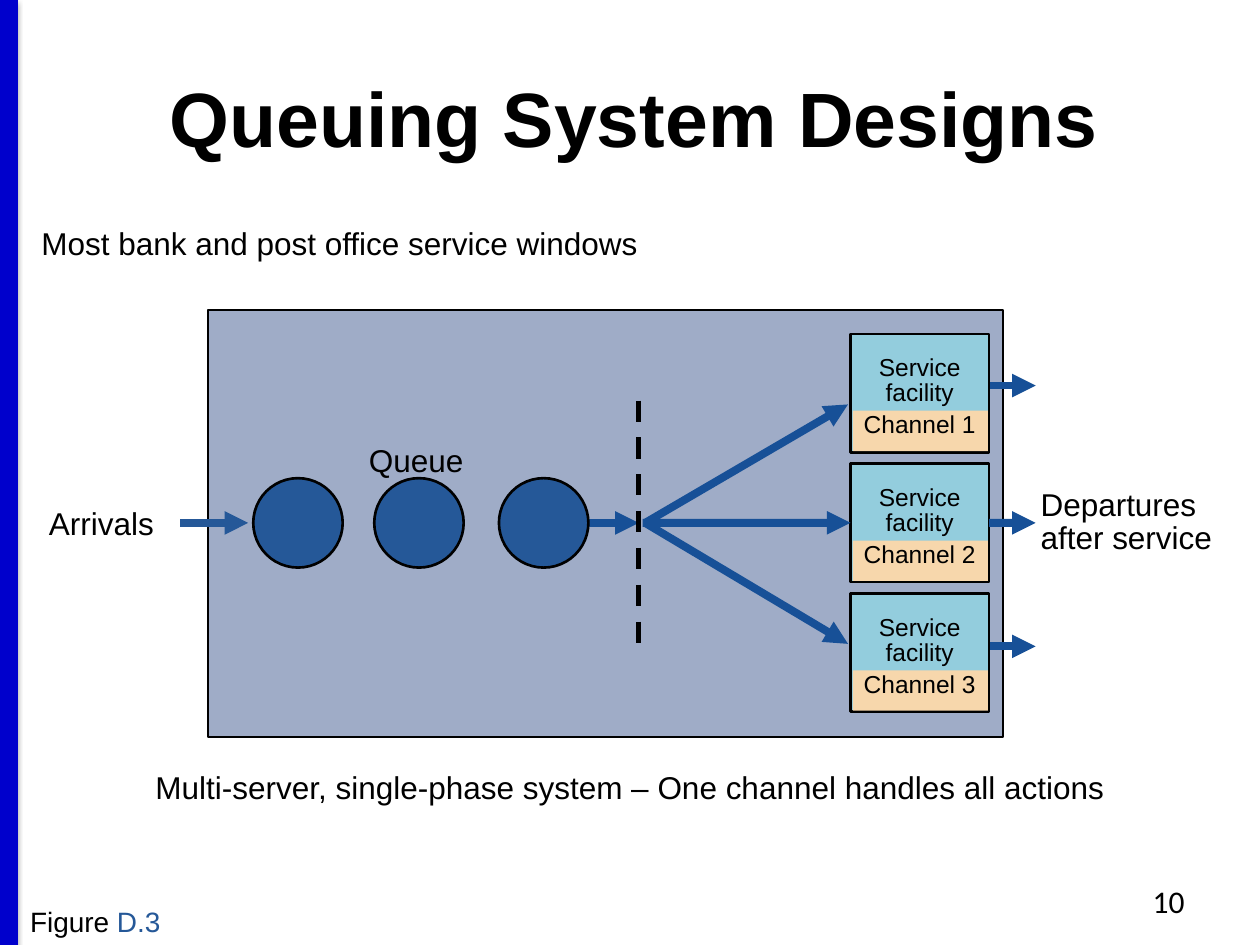
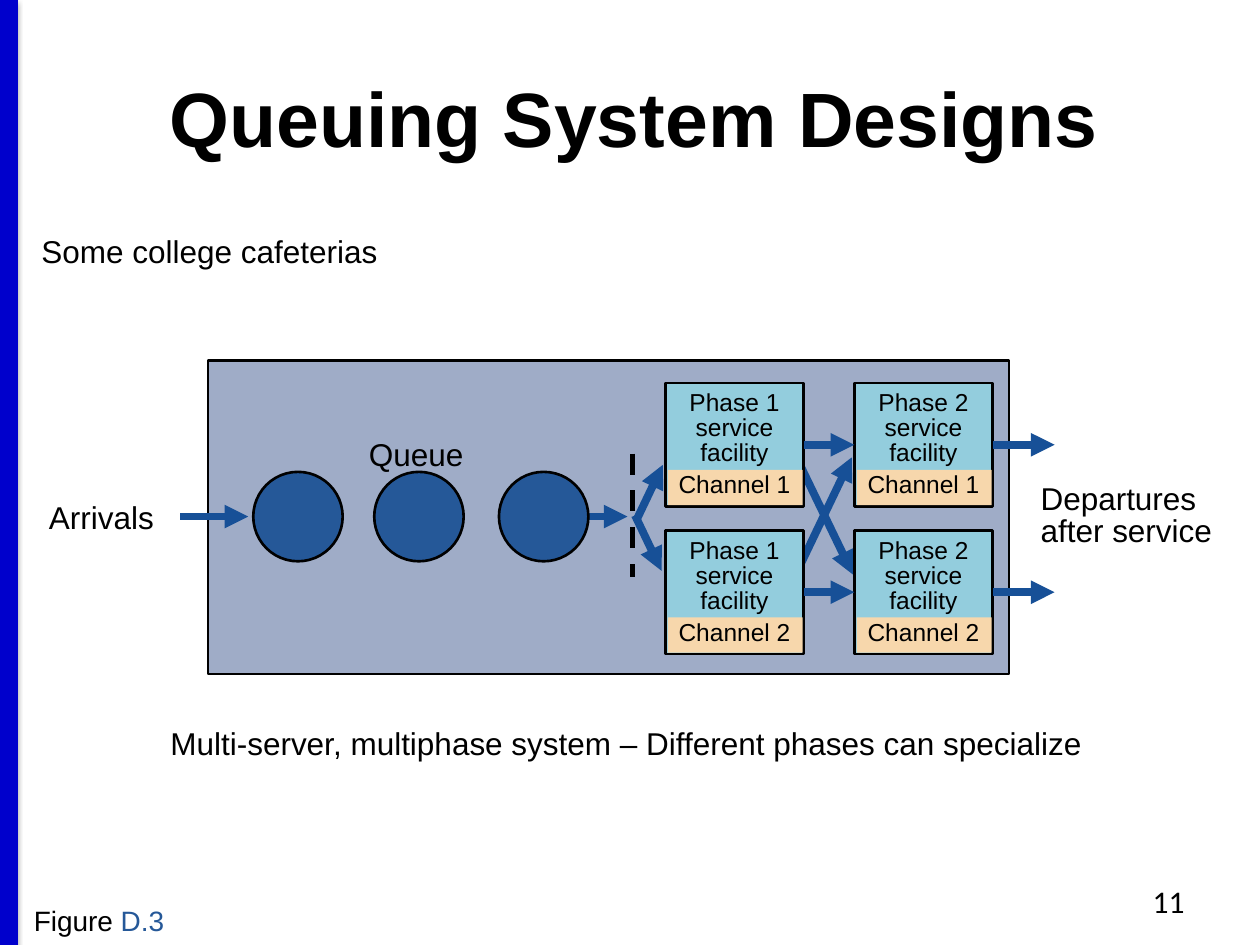
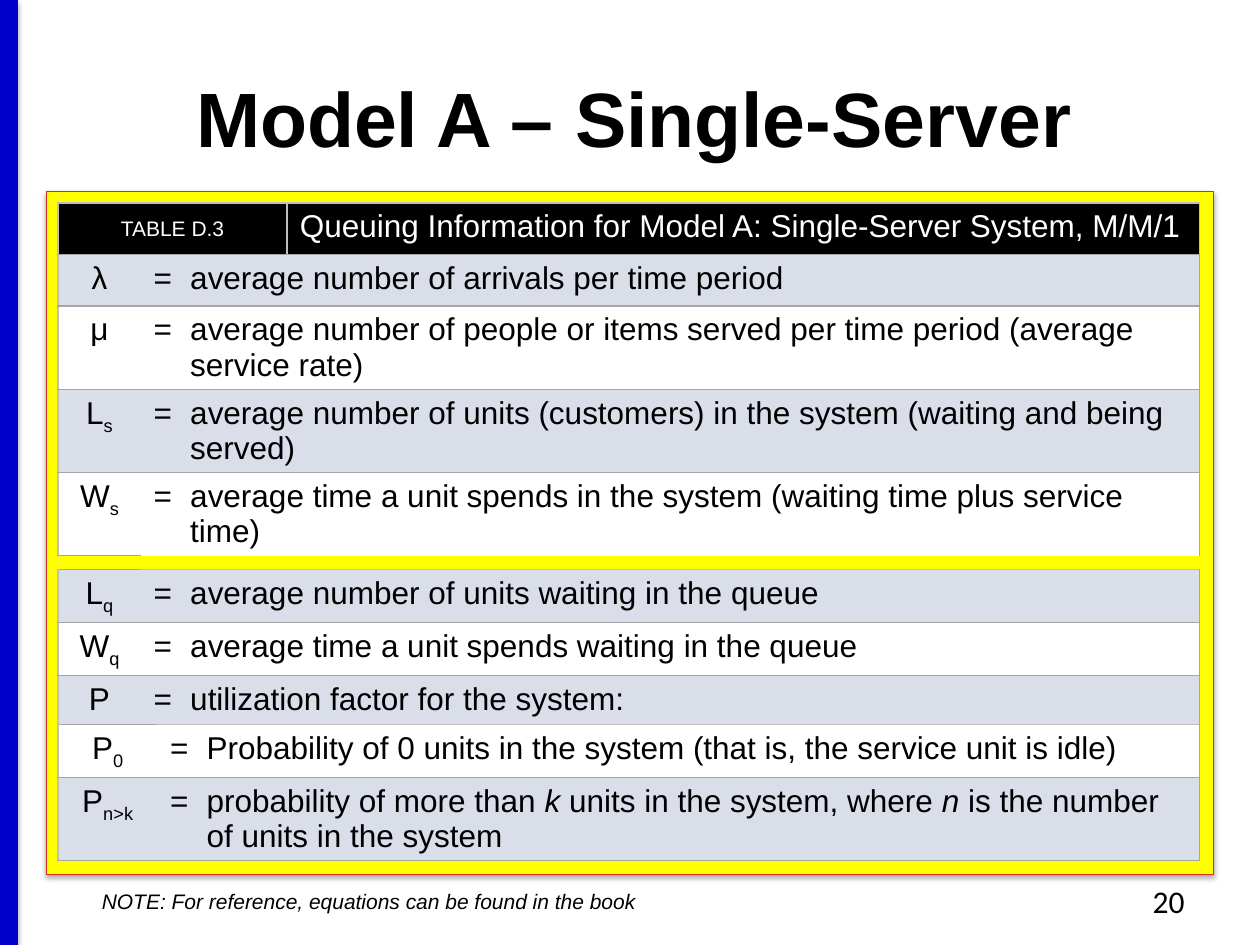
from pptx import Presentation
from pptx.dml.color import RGBColor
from pptx.enum.dml import MSO_LINE
from pptx.enum.shapes import MSO_CONNECTOR, MSO_SHAPE
from pptx.enum.text import MSO_ANCHOR, MSO_AUTO_SIZE, PP_ALIGN
from pptx.oxml.ns import qn
from pptx.util import Inches, Pt
from lxml.etree import SubElement

COLORS = {
    "black": "000000", "white": "FFFFFF", "band": "0000CC",
    "system": "9FACC7", "customer": "255898", "flow": "175097",
    "server": "93CDDD", "channel": "F7D7AC",
    "panel": "FFFF00", "panel_edge": "D32E1B",
    "stripe": "D9DEE9", "rule": "A6A6A6", "rule_light": "BFBFBF",
}
TOP, LEFT, BOTTOM, RIGHT = range(4)  # connection sites of a rectangle
SERVER_WIDTH = 1.1
CUSTOMER_SIZE = 0.71
EQUALS_INDENT = 0.29


def rgb(name):
    return RGBColor.from_string(COLORS[name])


def lengths(*values):
    return [Inches(value) for value in values]


# ---- Basic elements ----

def set_shadow(shape, alpha=0, blur=0, distance=0):
    """Replace the theme shadow: none, or a soft one straight below."""
    effects = SubElement(shape._element.spPr, qn("a:effectLst"))
    if alpha:
        outer = SubElement(effects, qn("a:outerShdw"), blurRad=str(Pt(blur)),
                           dist=str(Pt(distance)), dir="5400000", rotWithShape="0")
        color = SubElement(outer, qn("a:srgbClr"), val=COLORS["black"])
        SubElement(color, qn("a:alpha"), val=str(alpha * 1000))


def add_line(slide, start, end, color="flow", width=4.5, arrow=True,
             dash=None, shadow=()):
    line = slide.shapes.add_connector(MSO_CONNECTOR.STRAIGHT, *lengths(*start, *end))
    line.line.color.rgb = rgb(color)
    line.line.width = Pt(width)
    if dash:
        line.line.dash_style = dash
    if arrow:
        SubElement(line.line._get_or_add_ln(), qn("a:tailEnd"), type="triangle")
    set_shadow(line, *shadow)
    return line


def add_block(slide, at, fill, edge=None, width=1.5, kind=MSO_SHAPE.RECTANGLE,
              shadow=()):
    block = slide.shapes.add_shape(kind, *lengths(*at))
    block.fill.solid()
    block.fill.fore_color.rgb = rgb(fill)
    if edge:
        block.line.color.rgb = rgb(edge)
        block.line.width = Pt(width)
    else:
        block.line.fill.background()
    set_shadow(block, *shadow)
    return block


def style_paragraph(paragraph, size=18, color="black", font="Arial", bold=False,
                    italic=False, align=PP_ALIGN.LEFT, line_spacing=None):
    paragraph.alignment = align
    if line_spacing:
        paragraph.line_spacing = line_spacing
    paragraph.font.size = Pt(size)
    paragraph.font.name = font
    paragraph.font.bold = bold
    paragraph.font.italic = italic
    paragraph.font.color.rgb = rgb(color)


def add_text(slide, at, text, wrap=False, grow=True, anchor=MSO_ANCHOR.TOP, **style):
    frame = slide.shapes.add_textbox(*lengths(*at)).text_frame
    frame.word_wrap = wrap
    frame.auto_size = MSO_AUTO_SIZE.SHAPE_TO_FIT_TEXT if grow else MSO_AUTO_SIZE.NONE
    frame.vertical_anchor = anchor
    frame.text = text
    for paragraph in frame.paragraphs:
        style_paragraph(paragraph, **style)
    return frame


# ---- Shared slide frame ----

def new_slide(deck, title, number):
    slide = deck.slides.add_slide(deck.slide_layouts[6])
    add_line(slide, (0.07, 0), (0.07, 7.5), "band", 10, arrow=False,
             shadow=(38, 3.1, 1.6))
    add_text(slide, (0.07, 0.3, 9.93, 1.25), title, wrap=True, grow=False,
             anchor=MSO_ANCHOR.MIDDLE, size=44, bold=True, align=PP_ALIGN.CENTER)
    add_text(slide, (7.17, 6.95, 2.33, 0.4), str(number), wrap=True, grow=False,
             font="Calibri", align=PP_ALIGN.RIGHT)
    return slide


# ---- Queuing diagrams ----

def add_figure_label(slide, left, top):
    label = add_text(slide, (left, top, 1.29, 0.37), "Figure ", size=16).paragraphs[0]
    number = label.add_run()
    number.text = "D.3"
    number.font.color.rgb = rgb("customer")


def add_queue(slide, center, exit_x, arrivals_color):
    """Arrivals, three waiting customers and the arrow out of the queue."""
    top = center - CUSTOMER_SIZE / 2
    add_text(slide, (0.29, center - 0.2, 1.06, 0.4), "Arrivals")
    add_line(slide, (1.43, center), (1.97, center), arrivals_color)
    add_line(slide, (exit_x - 0.54, center), (exit_x, center))
    for left in (2.01, 2.97, 3.96):
        add_block(slide, (left, top, CUSTOMER_SIZE, CUSTOMER_SIZE), "customer",
                  "black", kind=MSO_SHAPE.OVAL)
    add_text(slide, (2.83, top - 0.34, 0.98, 0.4), "Queue")


def add_diagram(deck, number, example, example_top, system, caption, caption_at,
                figure_at, center, exit_x, arrivals_color, divider):
    slide = new_slide(deck, "Queuing System Designs", number)
    add_block(slide, system, "system", "black")
    add_figure_label(slide, *figure_at)
    add_text(slide, caption_at, caption, align=PP_ALIGN.CENTER)
    add_text(slide, (0.23, example_top, 4.98, 0.4), example)
    add_queue(slide, center, exit_x, arrivals_color)
    divider_x, divider_top, divider_bottom = divider
    add_line(slide, (divider_x, divider_top), (divider_x, divider_bottom), "black", 3,
             arrow=False, dash=MSO_LINE.DASH)
    add_text(slide, (8.16, center - 0.3, 1.58, 0.62), "Departures\nafter service",
             line_spacing=0.85)
    return slide


def add_server(slide, left, top, height, strip, text_offset, task, channel):
    server = add_block(slide, (left, top, SERVER_WIDTH, height), "server", "black")
    add_block(slide, (left + 0.02, top + height - strip - 0.01, SERVER_WIDTH - 0.03, strip),
              "channel")
    frame = add_text(slide, (left - 0.03, top + text_offset, 1.16, 0.78),
                     f"{task}\nChannel {channel}", wrap=True, size=14,
                     align=PP_ALIGN.CENTER, line_spacing=0.85)
    frame.paragraphs[0].space_after = Pt(4)
    return server


def build_single_phase(deck):
    center = 4.15
    slide = add_diagram(
        deck, 10, "Most bank and post office service windows", 1.73,
        (1.65, 2.46, 6.31, 3.39),
        "Multi-server, single-phase system – One channel handles all actions",
        (1.1, 6.05, 7.8, 0.4), (0.14, 7.13), center, 5.07, "customer",
        (5.07, 3.18, 5.12))
    # Outer channels: arrows in from the queue and out to departures
    for entry_y, exit_y in ((3.21, 3.06), (5.11, 5.13)):
        add_line(slide, (5.12, center), (6.73, entry_y))
        add_line(slide, (7.68, exit_y), (8.22, exit_y))
    servers = [add_server(slide, 6.75, 2.65 + 1.03 * row, 0.94, 0.32, 0.13,
                          "Service facility", row + 1) for row in range(3)]
    # Middle channel: straight through
    add_line(slide, (5.1, center), (6.75, center)).end_connect(servers[1], LEFT)
    add_line(slide, (7.85, center), (8.22, center)).begin_connect(servers[1], RIGHT)


def build_multiphase(deck):
    center = 4.1
    height, lefts, tops = 0.98, (5.28, 6.78), (3.04, 4.21)
    slide = add_diagram(
        deck, 11, "Some college cafeterias", 1.79, (1.65, 2.86, 6.36, 2.49),
        "Multi-server, multiphase system – Different phases can specialize",
        (1.22, 5.7, 7.5, 0.4), (0.17, 7.12), center, 4.98, "flow",
        (5.02, 3.6, 4.58))
    # Slanted arrows: into phase 1 and across to the other channel
    for start, end in (((5.06, 4.11), (5.26, 3.69)), ((5.04, 4.09), (5.25, 4.53)),
                       ((6.32, 4.55), (6.76, 3.63)), ((6.34, 3.67), (6.77, 4.56))):
        add_line(slide, start, end)
    for channel, top in enumerate(tops, 1):
        first, second = [
            add_server(slide, left, top, height, 0.28, 0.02,
                       f"Phase {phase} service facility", channel)
            for phase, left in enumerate(lefts, 1)]
        middle = top + height / 2
        handover = add_line(slide, (lefts[0] + SERVER_WIDTH, middle), (lefts[1], middle))
        handover.begin_connect(first, RIGHT)
        handover.end_connect(second, LEFT)
        departure = add_line(slide, (lefts[1] + SERVER_WIDTH, middle), (8.37, middle))
        departure.begin_connect(second, RIGHT)


# ---- Notation tables ----

def style_cell(cell, fill, borders):
    """borders maps a side letter (L, R, T, B) to a colour; other sides are bare."""
    properties = cell._tc.get_or_add_tcPr()
    for side in "LRTB":
        border = SubElement(properties, qn(f"a:ln{side}"), w=str(Pt(1)))
        if side in borders:
            solid = SubElement(border, qn("a:solidFill"))
            SubElement(solid, qn("a:srgbClr"), val=COLORS[borders[side]])
        else:
            SubElement(border, qn("a:noFill"))
    cell.fill.solid()
    cell.fill.fore_color.rgb = rgb(fill)


def write_symbol(cell, symbol, subscript):
    paragraph = cell.text_frame.paragraphs[0]
    style_paragraph(paragraph, align=PP_ALIGN.CENTER)
    paragraph.add_run().text = symbol
    if subscript:
        index = paragraph.add_run()
        index.text = subscript
        index._r.get_or_add_rPr().set("baseline", "-25000")


def write_definition(cell, definition):
    """Words between asterisks are italic."""
    paragraph = cell.text_frame.paragraphs[0]
    properties = paragraph._p.get_or_add_pPr()
    properties.set("marL", str(Inches(EQUALS_INDENT)))
    properties.set("indent", str(-Inches(EQUALS_INDENT)))
    style_paragraph(paragraph)
    for position, part in enumerate(f"=\t{definition}".split("*")):
        run = paragraph.add_run()
        run.text = part
        if position % 2:
            run.font.italic = True


def write_header(table, label, heading):
    for cell in table.rows[0].cells:
        style_cell(cell, "black", dict.fromkeys("LRTB", "rule_light"))
    table.cell(0, 0).merge(table.cell(0, 1))
    table.cell(0, 0).vertical_anchor = MSO_ANCHOR.MIDDLE
    for column, text, size, align in ((0, label, 12, PP_ALIGN.CENTER),
                                      (2, heading, 18, PP_ALIGN.LEFT)):
        cell = table.cell(0, column)
        cell.text = text
        style_paragraph(cell.text_frame.paragraphs[0], size, "white", align=align)


def add_notation(slide, top, widths, rows, fills, header=None, closed=True):
    first = 1 if header else 0
    count = len(rows) + first
    table = slide.shapes.add_table(
        count, len(widths), *lengths(0.46, top, sum(widths), 0.41 * count)).table
    table.first_row = table.horz_banding = False
    for column, width in zip(table.columns, widths):
        column.width = Inches(width)
    for row in table.rows:
        row.height = Inches(0.41)
    if header:
        write_header(table, *header)
    last = len(widths) - 1
    for number, (symbol, subscript, definition) in enumerate(rows, first):
        fill = fills[(number - first) % 2]
        symbol_cell, *definition_cells = table.rows[number].cells
        style_cell(symbol_cell, fill, {"L": "rule_light", "T": "rule", "B": "rule"})
        borders = {"T": "rule", "R": "rule", "B": "rule"}
        if number == count - 1 and not closed:
            del borders["B"]
        if number == 0:
            borders["T"] = "rule_light"
        for cell in definition_cells:
            style_cell(cell, fill, borders)
        if last > 1:
            table.cell(number, 1).merge(table.cell(number, last))
        write_symbol(symbol_cell, symbol, subscript)
        write_definition(table.cell(number, 1), definition)


def build_model_a(deck):
    slide = new_slide(deck, "Model A – Single-Server", 20)
    add_block(slide, (0.37, 1.52, 9.26, 5.42), "panel", "panel_edge", 0.75,
              shadow=(35, 3.1, 1.8))
    add_notation(slide, 1.61, (0.66, 1.16, 7.24), [
        ("λ", "", "average number of arrivals per time period"),
        ("μ", "", "average number of people or items served per time period "
                  "(average service rate)"),
        ("L", "s", "average number of units (customers) in the system "
                   "(waiting and being served)"),
        ("W", "s", "average time a unit spends in the system "
                   "(waiting time plus service time)"),
    ], ("stripe", "white"), closed=False,
        header=("TABLE D.3", "Queuing Information for Model A: Single-Server System, M/M/1"))
    add_notation(slide, 4.52, (0.66, 8.4), [
        ("L", "q", "average number of units waiting in the queue"),
        ("W", "q", "average time a unit spends waiting in the queue"),
        ("Ρ", "", "utilization factor for the system:"),
    ], ("stripe", "white"))
    add_notation(slide, 5.75, (0.79, 1.09, 7.18), [
        ("P", "0", "Probability of 0 units in the system "
                   "(that is, the service unit is idle)"),
        ("P", "n>k", "probability of more than *k* units in the system, "
                     "where *n* is the number of units in the system"),
    ], ("white", "stripe"))
    add_text(slide, (0.71, 7, 4.5, 0.3),
             "NOTE: For reference, equations can be found in the book",
             size=12, italic=True)


def main():
    deck = Presentation()
    deck.slide_width, deck.slide_height = lengths(10, 7.5)
    build_single_phase(deck)
    build_multiphase(deck)
    build_model_a(deck)
    deck.save("out.pptx")


if __name__ == "__main__":
    main()
